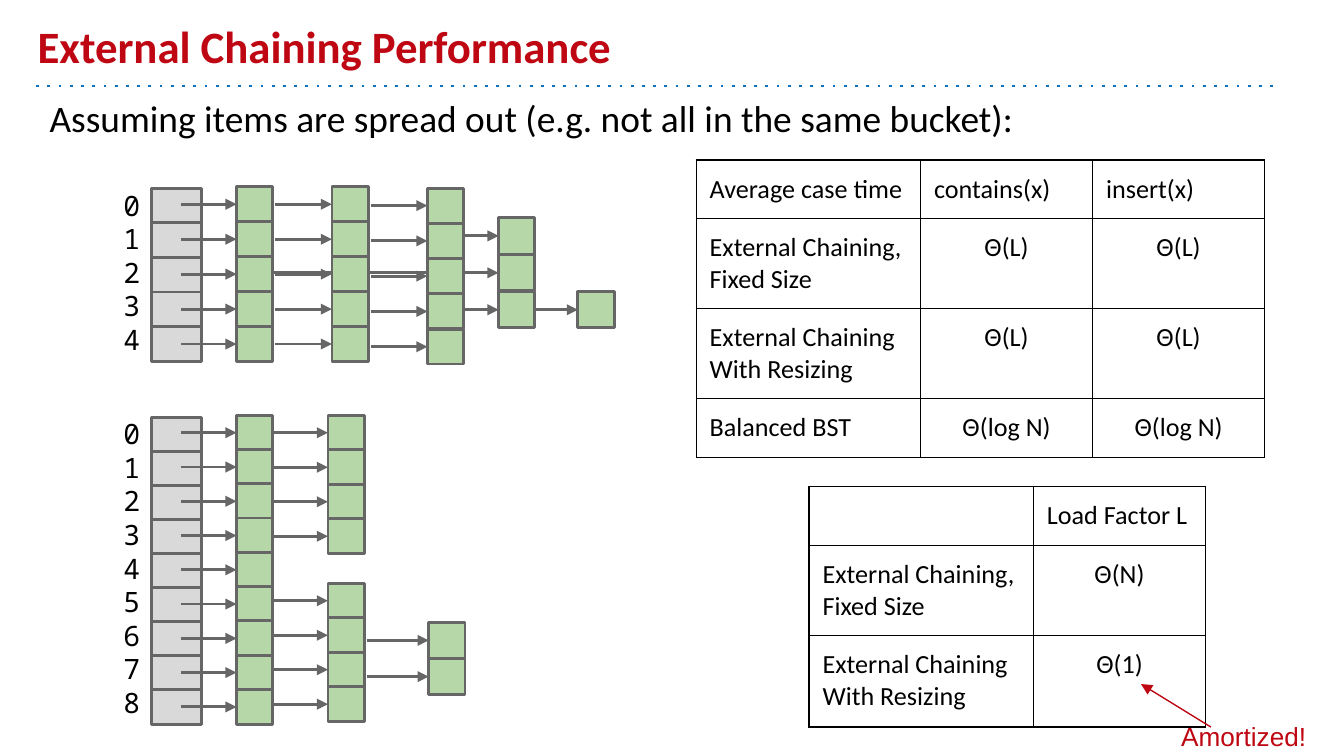
from dataclasses import dataclass
from itertools import cycle

from lxml.etree import SubElement
from pptx import Presentation
from pptx.dml.color import RGBColor
from pptx.enum.shapes import MSO_CONNECTOR as Conn, MSO_SHAPE as Kind
from pptx.enum.text import MSO_ANCHOR as Anchor, PP_ALIGN as Align
from pptx.oxml.ns import qn
from pptx.util import Inches, Pt

RED, BLUE, BLACK = "BE0712", "1072BD", "000000"
GREY, GREEN, EDGE = "D9D9D9", "B6D7A8", "666666"
PAD = Inches(0.1)


@dataclass
class Column:
    """Stacked boxes; each arrow runs from a tail to the left edge."""
    x: float
    first: float
    last: float
    count: int
    tails: tuple = ()
    width: float = 0.27
    height: float = 0.26
    fill: str = GREEN

    def tops(self) -> list[float]:
        step = (self.last - self.first) / max(self.count - 1, 1)
        return [self.first + step * i for i in range(self.count)]


@dataclass
class Grid:
    x: float
    y: float
    widths: list[float]
    heights: list[float]
    rows: list[list[str]]


COLUMNS = [
    # Five buckets
    Column(1.13, 1.4, 2.43, 5, width=0.37, fill=GREY),
    Column(1.76, 1.39, 2.43, 5, (1.35,)),
    Column(3.71, 1.62, 2.17, 3, (3.46, 2.03, 3.46), height=0.27),
    Column(4.3, 2.17, 2.17, 1, (3.99,), height=0.27),
    Column(2.47, 1.39, 2.43, 5, (2.05,)),
    Column(3.18, 1.4, 2.45, 5, (2.76,)),
    # Nine buckets
    Column(1.13, 3.11, 5.13, 9, width=0.37, fill=GREY),
    Column(1.76, 3.09, 5.13, 9, (1.35,)),
    Column(2.44, 3.09, 3.86, 4, (2.03,)),
    Column(2.44, 4.34, 5.11, 4, (2.03,)),
    Column(3.19, 4.63, 4.9, 2, (2.73,), height=0.27),
]

FIXED, RESIZED = "External Chaining, Fixed Size", "External Chaining With Resizing"
GRIDS = [
    Grid(5.18, 1.19, [1.67, 1.28, 1.28], [0.43, 0.67, 0.67, 0.44], [
        ["Average case time", "contains(x)", "insert(x)"],
        [FIXED, "Θ(L)", "Θ(L)"],
        [RESIZED, "Θ(L)", "Θ(L)"],
        ["Balanced BST", "Θ(log N)", "Θ(log N)"],
    ]),
    Grid(6.02, 3.62, [1.67, 1.28], [0.44, 0.67, 0.68], [
        ["", "Load Factor L"],
        [FIXED, "Θ(N)"],
        [RESIZED, "Θ(1)"],
    ]),
]


def paint(target, color: str) -> None:
    target.solid()
    target.fore_color.rgb = RGBColor.from_string(color)


def write(frame, text: str, size: float, color: str = BLACK, font: str = "Calibri",
          bold: bool = False, align=Align.LEFT) -> None:
    frame.text = text
    frame.word_wrap = True
    for para in frame.paragraphs:
        para.alignment = align
        para.font.size, para.font.name, para.font.bold = Pt(size), font, bold
        paint(para.font.fill, color)


def pad(item) -> None:
    item.margin_left = item.margin_right = item.margin_top = item.margin_bottom = PAD


def label(slide, x: float, y: float, w: float, h: float, text: str, size: float,
          **style) -> None:
    frame = slide.shapes.add_textbox(Inches(x), Inches(y), Inches(w), Inches(h)).text_frame
    pad(frame)
    write(frame, text, size, **style)


def line(slide, x1: float, y1: float, x2: float, y2: float, color: str = EDGE,
         width: float = 1.5, dash: str = "", arrow: bool = True) -> None:
    link = slide.shapes.add_connector(
        Conn.STRAIGHT, Inches(x1), Inches(y1), Inches(x2), Inches(y2))
    link.line.width = Pt(width)
    paint(link.line.fill, color)
    ln = link.line._get_or_add_ln()
    if dash:
        SubElement(ln, qn("a:prstDash"), val=dash)
    if arrow:
        SubElement(ln, qn("a:tailEnd"), type="triangle")
    SubElement(link._element.spPr, qn("a:effectLst"))


def stack(slide, col: Column) -> None:
    for top in col.tops():
        box = slide.shapes.add_shape(Kind.RECTANGLE, Inches(col.x), Inches(top),
                                     Inches(col.width), Inches(col.height))
        box.shadow.inherit = False
        paint(box.fill, col.fill)
        paint(box.line.fill, EDGE)
        box.line.width = Pt(1.5)
    if col.tails:
        for top, tail in zip(col.tops(), cycle(col.tails)):
            mid = top + col.height / 2
            line(slide, tail, mid, col.x, mid)


def border(cell) -> None:
    props = cell._tc.get_or_add_tcPr()
    for i, side in enumerate(("lnL", "lnR", "lnT", "lnB")):
        edge = props.makeelement(qn(f"a:{side}"), {"w": str(Pt(0.75))})
        fill = SubElement(edge, qn("a:solidFill"))
        SubElement(fill, qn("a:srgbClr"), val=BLACK)
        props.insert(i, edge)


def table(slide, grid: Grid) -> None:
    frame = slide.shapes.add_table(
        len(grid.heights), len(grid.widths), Inches(grid.x), Inches(grid.y),
        Inches(sum(grid.widths)), Inches(sum(grid.heights)))
    body = frame.table
    for col, width in zip(body.columns, grid.widths):
        col.width = Inches(width)
    for r, (row, height) in enumerate(zip(body.rows, grid.heights)):
        row.height = Inches(height)
        for c, cell in enumerate(row.cells):
            pad(cell)
            cell.fill.background()
            border(cell)
            align = Align.CENTER if r and c else Align.LEFT
            write(cell.text_frame, grid.rows[r][c], 14, align=align)


def main() -> None:
    deck = Presentation()
    deck.slide_width = Inches(10)
    deck.slide_height = deck.slide_width * 9 // 16
    slide = deck.slides.add_slide(deck.slide_layouts[5])

    # Heading
    line(slide, 0.27, 0.64, 9.5, 0.64, BLUE, dash="dot", arrow=False)
    title = slide.shapes.title
    title.left, title.top = Inches(0.18), Inches(0.1)
    title.width, title.height = Inches(9), Inches(0.54)
    pad(title.text_frame)
    title.text_frame.vertical_anchor = Anchor.BOTTOM
    write(title.text_frame, "External Chaining Performance", 24, RED, bold=True)
    label(slide, 0.27, 0.61, 9.15, 0.76,
          "Assuming items are spread out (e.g. not all in the same bucket):", 20)

    # Tables
    for grid in GRIDS:
        table(slide, grid)

    # Hash tables with their bucket numbers; "56" wraps in the narrow box
    for col in COLUMNS:
        stack(slide, col)
    for top, height, marks in ((1.3, 1.63, "0 1 2 3 4"), (3, 2.39, "0 1 2 3 4 56 7 8")):
        label(slide, 0.82, top, 0.32, height, "\n".join(marks.split()), 15,
              font="Noto Sans Mono", align=Align.RIGHT)

    # Remark on the resizing cost
    label(slide, 8.69, 5.26, 1.16, 0.36, "Amortized!", 14, color=RED, font="Arial")
    line(slide, 9.01, 5.41, 8.49, 5.09, RED, 0.75)

    deck.save("out.pptx")


if __name__ == "__main__":
    main()
